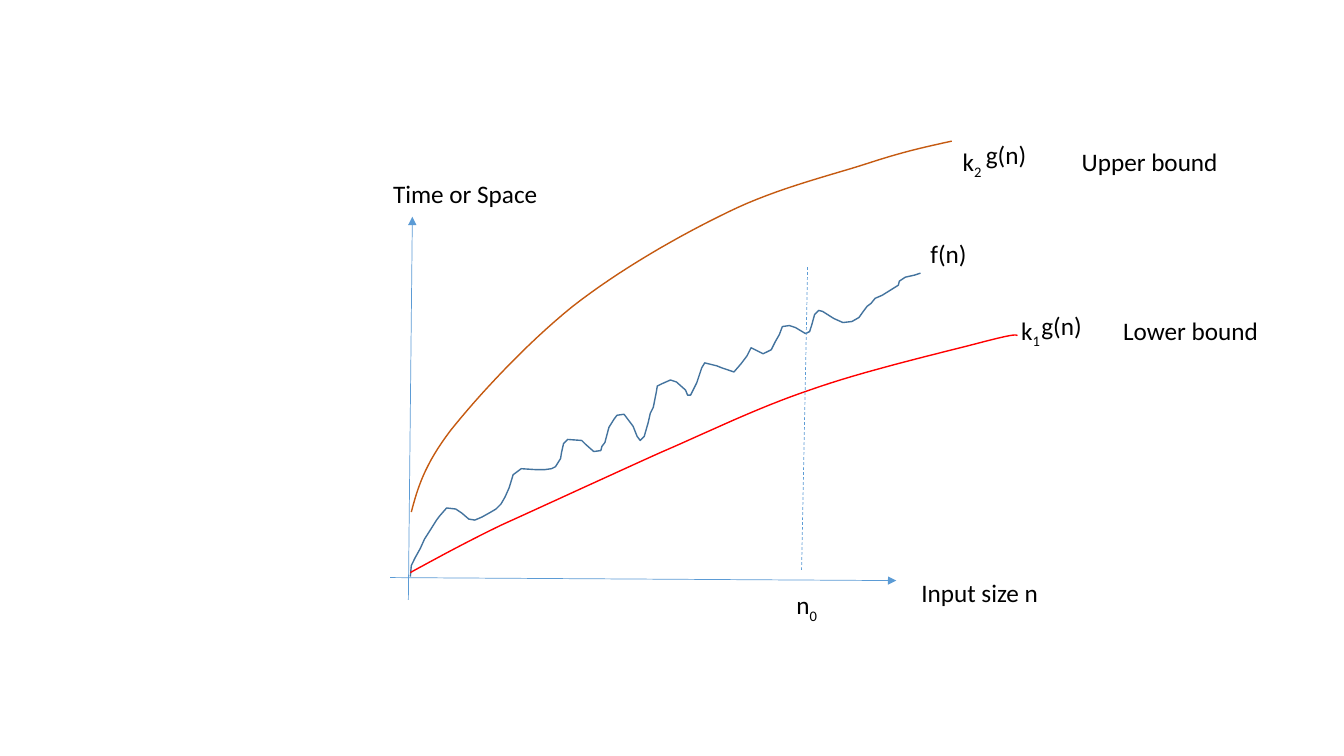
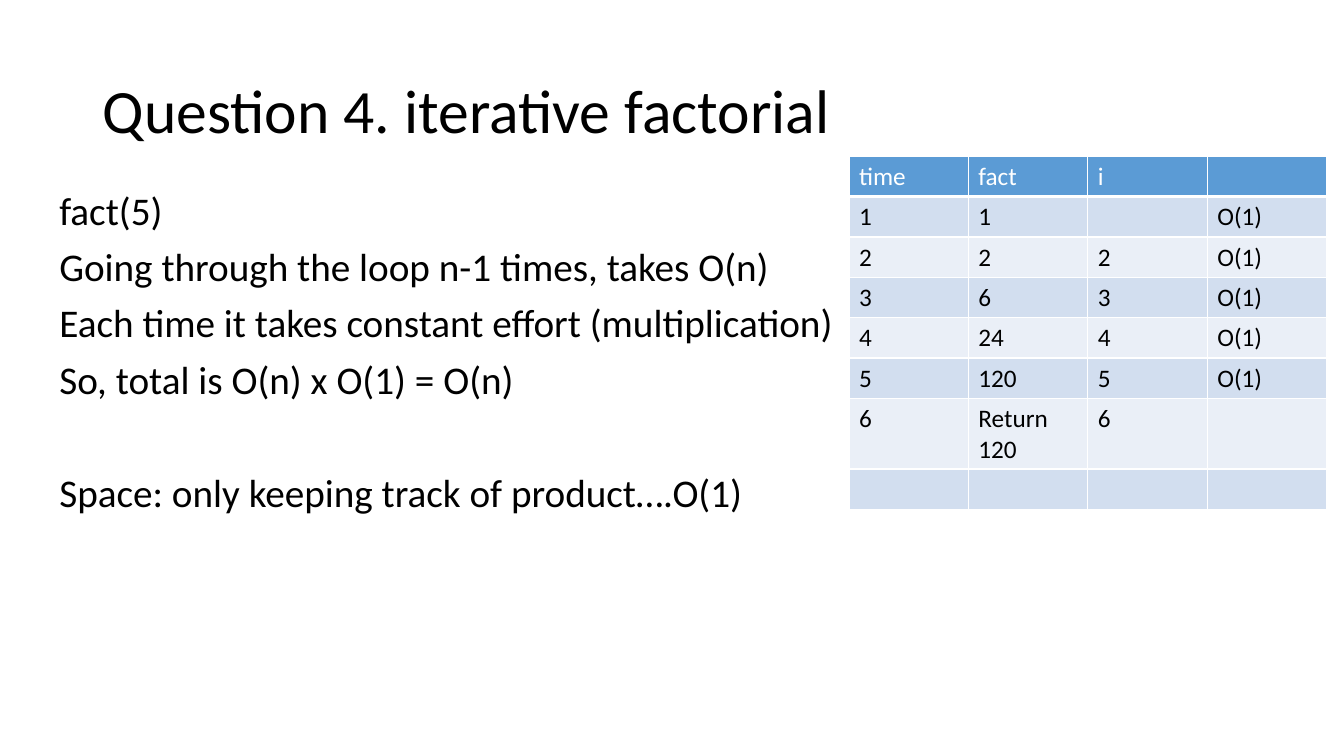
"""Build two slides on growth bounds and the cost of iterative factorial."""
from dataclasses import dataclass

from lxml.etree import SubElement
from pptx import Presentation
from pptx.dml.color import RGBColor as Rgb
from pptx.enum.dml import MSO_LINE_DASH_STYLE as Dash
from pptx.enum.shapes import MSO_CONNECTOR as Connector
from pptx.enum.text import MSO_ANCHOR as Anchor, MSO_AUTO_SIZE as AutoSize, PP_ALIGN as Align
from pptx.oxml.ns import qn
from pptx.util import Inches, Pt


@dataclass(frozen=True)
class Theme:
    """Colours, font and type sizes of the deck."""
    font: str = "Calibri"
    title: int = 44
    body: int = 28
    label: int = 18
    text: str = "000000"
    white: str = "FFFFFF"
    accent: str = "5B9BD5"
    bands: tuple = ("EAEFF7", "D2DEEF")
    growth: str = "43739E"
    lower: str = "FF0000"
    upper: str = "C55A11"


THEME = Theme()
TITLE_ONLY, BLANK = 5, 6

LABELS = [
    ("f(n)", 9.13, 2.32, 0.57),
    ("n_0", 7.8, 5.8, 0.42),
    ("k_1", 10.03, 3.08, 0.4),
    ("k_2", 9.45, 1.4, 0.46),
    ("g(n)", 9.68, 1.33, 0.61),
    ("g(n)", 10.23, 3.03, 0.61),
    ("Input size n", 9.04, 5.68, 1.37),
    ("Time or Space", 3.8, 1.72, 1.71),
    ("Upper bound", 10.63, 1.4, 1.57),
    ("Lower bound", 11.04, 3.08, 1.56),
]

LOWER_CONTROLS = [
    (4.07, 5.68), (4.31, 5.55), (4.56, 5.41), (4.97, 5.21), (5.39, 5.02), (6.04, 4.72),
    (6.55, 4.49), (7.06, 4.27), (7.5, 4.05), (8.03, 3.87), (8.56, 3.68), (9.38, 3.49),
    (9.72, 3.4), (10.06, 3.31), (10.08, 3.32), (10.09, 3.33),
]
UPPER_CONTROLS = [
    (4.08, 5.08), (4.14, 4.85), (4.21, 4.61), (4.47, 4.27), (4.74, 3.93), (5.22, 3.41),
    (5.68, 3.04), (6.14, 2.68), (6.73, 2.34), (7.23, 2.1), (7.72, 1.86), (8.28, 1.73),
    (8.64, 1.61), (9.01, 1.49), (9.22, 1.45), (9.44, 1.4),
]
GROWTH_POINTS = [
    (4.07, 5.72), (4.08, 5.61), (4.12, 5.53), (4.17, 5.44), (4.21, 5.35), (4.28, 5.24),
    (4.33, 5.16), (4.36, 5.12), (4.43, 5.04), (4.52, 5.05), (4.58, 5.09), (4.65, 5.15),
    (4.71, 5.16), (4.78, 5.13), (4.87, 5.08), (4.92, 5.05), (4.97, 5), (5.01, 4.93),
    (5.05, 4.84), (5.09, 4.71), (5.17, 4.65), (5.32, 4.66), (5.4, 4.66), (5.47, 4.65),
    (5.51, 4.63), (5.56, 4.55), (5.57, 4.49), (5.59, 4.4), (5.63, 4.36), (5.77, 4.37),
    (5.81, 4.41), (5.89, 4.48), (5.96, 4.47), (5.97, 4.43), (6, 4.39), (6.04, 4.24),
    (6.09, 4.16), (6.12, 4.12), (6.19, 4.11), (6.28, 4.23), (6.32, 4.33), (6.35, 4.37),
    (6.39, 4.33), (6.43, 4.19), (6.45, 4.1), (6.48, 4.04), (6.51, 3.89), (6.52, 3.83),
    (6.56, 3.81), (6.65, 3.77), (6.71, 3.79), (6.8, 3.87), (6.82, 3.92), (6.85, 3.92),
    (6.91, 3.8), (6.96, 3.65), (6.99, 3.6), (7.11, 3.63), (7.16, 3.65), (7.28, 3.69),
    (7.35, 3.61), (7.41, 3.53), (7.45, 3.45), (7.53, 3.49), (7.57, 3.51), (7.65, 3.47),
    (7.69, 3.39), (7.73, 3.32), (7.76, 3.24), (7.83, 3.23), (7.89, 3.25), (7.99, 3.31),
    (8.03, 3.29), (8.05, 3.23), (8.08, 3.12), (8.12, 3.08), (8.16, 3.09), (8.27, 3.16),
    (8.36, 3.2), (8.45, 3.19), (8.52, 3.15), (8.57, 3.08), (8.6, 3.04), (8.64, 3.01),
    (8.68, 2.96), (8.75, 2.93), (8.83, 2.88), (8.91, 2.83), (8.92, 2.79), (8.98, 2.75),
    (9.07, 2.73), (9.13, 2.71),
]

BODY = [
    ("fact(5)", 10),
    ("Going through the loop n-1 times, takes O(n)", 10),
    ("Each time it takes constant effort (multiplication)", 10),
    ("So, total is O(n) x O(1) = O(n)", 10),
    ("Space: only keeping track of product….O(1)", 50.75),
]
ROWS = [
    ("time", "fact", "i", ""),
    ("1", "1", "", "O(1)"),
    ("2", "2", "2", "O(1)"),
    ("3", "6", "3", "O(1)"),
    ("4", "24", "4", "O(1)"),
    ("5", "120", "5", "O(1)"),
    ("6", "Return 120", "6", ""),
    ("", "", "", ""),
]


def write(para, text, size=THEME.label, color=THEME.text, spacing=None, before=None):
    """Fill a paragraph; what follows an underscore becomes a subscript."""
    para.alignment = Align.LEFT
    if spacing:
        para.line_spacing = spacing
    if before is not None:
        para.space_before = Pt(before)
    for index, part in enumerate(text.split("_")):
        if part:
            span = para.add_run()
            span.text = part
            span.font.name = THEME.font
            span.font.size = Pt(size)
            span.font.color.rgb = Rgb.from_string(color)
            if index:
                span.font._element.set("baseline", "-25000")


def add_label(page, text, left, top, width):
    """Add a one-line label."""
    box = page.shapes.add_textbox(Inches(left), Inches(top), Inches(width), Inches(0.4))
    box.text_frame.word_wrap = False
    box.text_frame.auto_size = AutoSize.SHAPE_TO_FIT_TEXT
    write(box.text_frame.paragraphs[0], text)


def add_line(page, start, end, arrow=False, dashed=False):
    """Add a thin straight line, with an arrowhead or dashes if asked."""
    ends = [Inches(value) for value in (*start, *end)]
    line = page.shapes.add_connector(Connector.STRAIGHT, *ends)
    line.line.color.rgb = Rgb.from_string(THEME.accent)
    line.line.width = Pt(0.5)
    if dashed:
        line.line.dash_style = Dash.DASH
    if arrow:
        SubElement(line.line._get_or_add_ln(), qn("a:tailEnd"), type="triangle")
    SubElement(line._element.spPr, qn("a:effectLst"))


def bezier(controls, steps=16):
    """Return points along a chain of cubic segments."""
    points = [controls[0]]
    for first in range(0, len(controls) - 1, 3):
        segment = controls[first:first + 4]
        for step in range(1, steps + 1):
            t = step / steps
            weights = ((1 - t) ** 3, 3 * t * (1 - t) ** 2, 3 * t * t * (1 - t), t ** 3)
            points.append(tuple(sum(w * p[axis] for w, p in zip(weights, segment)) for axis in (0, 1)))
    return points


def add_curve(page, points, color):
    """Draw an open outline through points."""
    start, *rest = [(Inches(x), Inches(y)) for x, y in points]
    builder = page.shapes.build_freeform(*start)
    builder.add_line_segments(rest, close=False)
    curve = builder.convert_to_shape()
    curve.fill.background()
    curve.line.color.rgb = Rgb.from_string(color)
    curve.line.width = Pt(1)
    curve.shadow.inherit = False


def add_title(page, text):
    """Place and fill the title placeholder."""
    title = page.shapes.title
    title.left, title.top, title.width, title.height = map(Inches, (0.92, 0.4, 11.5, 1.45))
    title.text_frame.auto_size = AutoSize.NONE
    title.text_frame.vertical_anchor = Anchor.MIDDLE
    write(title.text_frame.paragraphs[0], text, size=THEME.title, spacing=0.9)


def add_body(page, lines):
    """Add the body text, given as lines with the space before each."""
    box = page.shapes.add_textbox(Inches(0.49), Inches(1.85), Inches(11.5), Inches(4.76))
    frame = box.text_frame
    frame.word_wrap = True
    for index, (text, before) in enumerate(lines):
        para = frame.add_paragraph() if index else frame.paragraphs[0]
        write(para, text, size=THEME.body, spacing=0.9, before=before)


def set_borders(cell, **widths):
    """Give a cell white borders, with widths in points by side."""
    properties = cell._tc.get_or_add_tcPr()
    for side in "LRTB":
        width = Pt(widths.get(side, 1))
        border = SubElement(properties, qn(f"a:ln{side}"), w=str(width))
        fill = SubElement(border, qn("a:solidFill"))
        SubElement(fill, qn("a:srgbClr"), val=THEME.white)


def add_trace(page, rows):
    """Add the banded trace table."""
    count, columns = len(rows), len(rows[0])
    table = page.shapes.add_table(
        count, columns, Inches(8.42), Inches(1.55), Inches(4.74), Inches(0.4 * count)).table
    for row, texts in enumerate(rows):
        for column, text in enumerate(texts):
            cell = table.cell(row, column)
            set_borders(cell, B=1 if row else 3, T=3 if row == 1 else 1)
            cell.fill.solid()
            cell.fill.fore_color.rgb = Rgb.from_string(THEME.bands[row % 2] if row else THEME.accent)
            write(cell.text_frame.paragraphs[0], text, color=THEME.text if row else THEME.white)


def build_bounds(deck):
    """Build the slide with the growth curve between its bounds."""
    page = deck.slides.add_slide(deck.slide_layouts[BLANK])
    add_line(page, (3.87, 5.73), (8.89, 5.76), arrow=True)
    add_line(page, (4.05, 5.95), (4.09, 2.15), arrow=True)
    add_curve(page, GROWTH_POINTS, THEME.growth)
    add_curve(page, bezier(LOWER_CONTROLS), THEME.lower)
    add_curve(page, bezier(UPPER_CONTROLS), THEME.upper)
    add_line(page, (8.01, 2.65), (7.95, 5.66), dashed=True)
    for label in LABELS:
        add_label(page, *label)


def build_factorial(deck):
    """Build the slide on iterative factorial."""
    page = deck.slides.add_slide(deck.slide_layouts[TITLE_ONLY])
    add_title(page, "Question 4. iterative factorial")
    add_body(page, BODY)
    add_trace(page, ROWS)


def main():
    """Build and save the deck."""
    deck = Presentation()
    deck.slide_width, deck.slide_height = Inches(13.33), Inches(7.5)
    build_bounds(deck)
    build_factorial(deck)
    deck.save("out.pptx")


if __name__ == "__main__":
    main()
